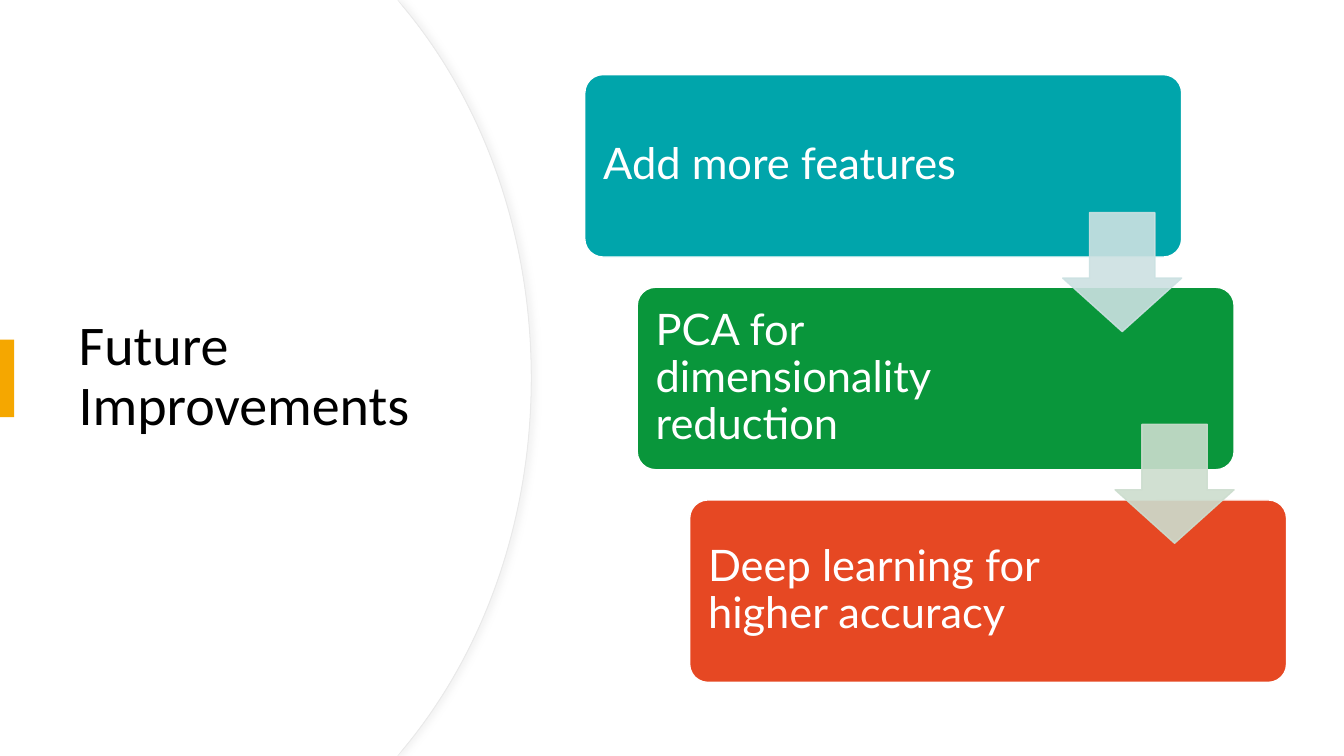
import lxml.etree
import pptx
import pptx.dml.color
import pptx.enum.shapes
import pptx.enum.text
import pptx.oxml.ns
import pptx.util

Inches = pptx.util.Inches
Pt = pptx.util.Pt
qn = pptx.oxml.ns.qn
Shapes = pptx.enum.shapes.MSO_SHAPE
Anchor = pptx.enum.text.MSO_ANCHOR
Align = pptx.enum.text.PP_ALIGN

CARDS = [
    ("Add more features", "00A5AB"),
    ("PCA for dimensionality reduction", "09963B"),
    ("Deep learning for higher accuracy", "E64823"),
]
ARROW_COLORS = ["CCE1E2", "CCDDCE"]
STEP_X = 0.52


def set_color(color_format, value):
    color_format.rgb = pptx.dml.color.RGBColor.from_string(value)


def paint(shape, fill, line=None, width=1):
    shape.shadow.inherit = False
    shape.fill.solid()
    set_color(shape.fill.fore_color, fill)
    if line:
        set_color(shape.line.color, line)
        shape.line.width = Pt(width)
    else:
        shape.line.fill.background()


def add_box(slide, kind, left, top, width, height):
    return slide.shapes.add_shape(
        kind, Inches(left), Inches(top), Inches(width), Inches(height))


def set_alpha(shape, percent):
    """Make the fill and the line partly transparent."""
    for color in shape.element.spPr.iter(qn("a:srgbClr")):
        lxml.etree.SubElement(color, qn("a:alpha"), val=str(percent * 1000))


def add_soft_shadow(shape, color):
    effects = shape.element.spPr.find(qn("a:effectLst"))
    shadow = lxml.etree.SubElement(
        effects, qn("a:outerShdw"), blurRad=str(Pt(4)), dist=str(Pt(3)), dir="0")
    shadow_color = lxml.etree.SubElement(shadow, qn("a:srgbClr"), val=color)
    lxml.etree.SubElement(shadow_color, qn("a:alpha"), val="30000")


def style_text(frame, font_name, size, color):
    frame.word_wrap = True
    frame.auto_size = pptx.enum.text.MSO_AUTO_SIZE.NONE
    frame.vertical_anchor = Anchor.MIDDLE
    paragraph = frame.paragraphs[0]
    paragraph.alignment = Align.LEFT
    paragraph.line_spacing = 0.9
    paragraph.font.name = font_name
    paragraph.font.size = Pt(size)
    set_color(paragraph.font.color, color)


def curve_segment(segment, controls):
    """Turn a straight outline segment into a cubic curve."""
    segment.tag = qn("a:cubicBezTo")
    for index, (x, y) in enumerate(controls):
        segment.insert(index, segment.makeelement(qn("a:pt"), x=str(x), y=str(y)))


def add_round_panel(slide, right):
    """Add the panel that bulges to the right edge, in hundredths of an inch."""
    shoulder, bend = right - 126, right - 48
    builder = slide.shapes.build_freeform(0, 0, scale=Inches(0.01))
    builder.add_line_segments([
        (394, 0), (shoulder, 8), (right, 375), (shoulder, 742), (394, 750), (0, 750)])
    panel = builder.convert_to_shape()
    segments = list(panel.element.spPr.iter(qn("a:lnTo")))
    curve_segment(segments[2], [(bend, 102), (right, 232)])
    curve_segment(segments[3], [(right, 518), (bend, 648)])
    return panel


def add_title(slide, text):
    title = slide.shapes.title
    title.left, title.top = Inches(0.68), Inches(1.27)
    title.width, title.height = Inches(3.94), Inches(4.95)
    title.text_frame.text = text
    style_text(title.text_frame, "Calibri", 40, "000000")
    # Bring the title in front of the panel
    title.element.getparent().append(title.element)


def add_card(slide, index, text, color):
    card = add_box(slide, Shapes.ROUNDED_RECTANGLE,
                   5.8 + index * STEP_X, 0.74 + index * 2.11, 5.92, 1.81)
    card.adjustments[0] = 0.1
    paint(card, color, "FFFFFF")
    frame = card.text_frame
    frame.text = text
    frame.margin_left = frame.margin_top = frame.margin_bottom = Inches(0.13)
    frame.margin_right = Inches(1.84)  # keeps the text clear of the arrows
    style_text(frame, "Lato", 31, "FFFFFF")


def add_arrow(slide, index, color):
    arrow = add_box(slide, Shapes.DOWN_ARROW,
                    10.54 + index * STEP_X, 2.11 + index * 2.1, 1.18, 1.18)
    arrow.adjustments[0], arrow.adjustments[1] = 0.55, 0.45
    paint(arrow, color, color)
    set_alpha(arrow, 90)


def main():
    presentation = pptx.Presentation()
    presentation.slide_width = Inches(13.33)
    presentation.slide_height = Inches(7.5)
    slide = presentation.slides.add_slide(presentation.slide_layouts[5])

    # White backdrop
    paint(add_box(slide, Shapes.RECTANGLE, 0, 0, 13.33, 7.5), "FFFFFF")

    # Left panel: outlined edge with a shadow, then a plain face
    edge = add_round_panel(slide, 527)
    paint(edge, "FFFFFF", "E9E9E9", 0.75)
    add_soft_shadow(edge, "D9D9D9")
    paint(add_round_panel(slide, 526), "FFFFFF")

    # Title and its accent bar
    add_title(slide, "Future Improvements")
    paint(add_box(slide, Shapes.RECTANGLE, 0, 3.37, 0.14, 0.77), "F5A700")

    # Staircase of cards, with arrows on top
    for index, (text, color) in enumerate(CARDS):
        add_card(slide, index, text, color)
    for index, color in enumerate(ARROW_COLORS):
        add_arrow(slide, index, color)

    presentation.save("out.pptx")


if __name__ == "__main__":
    main()
